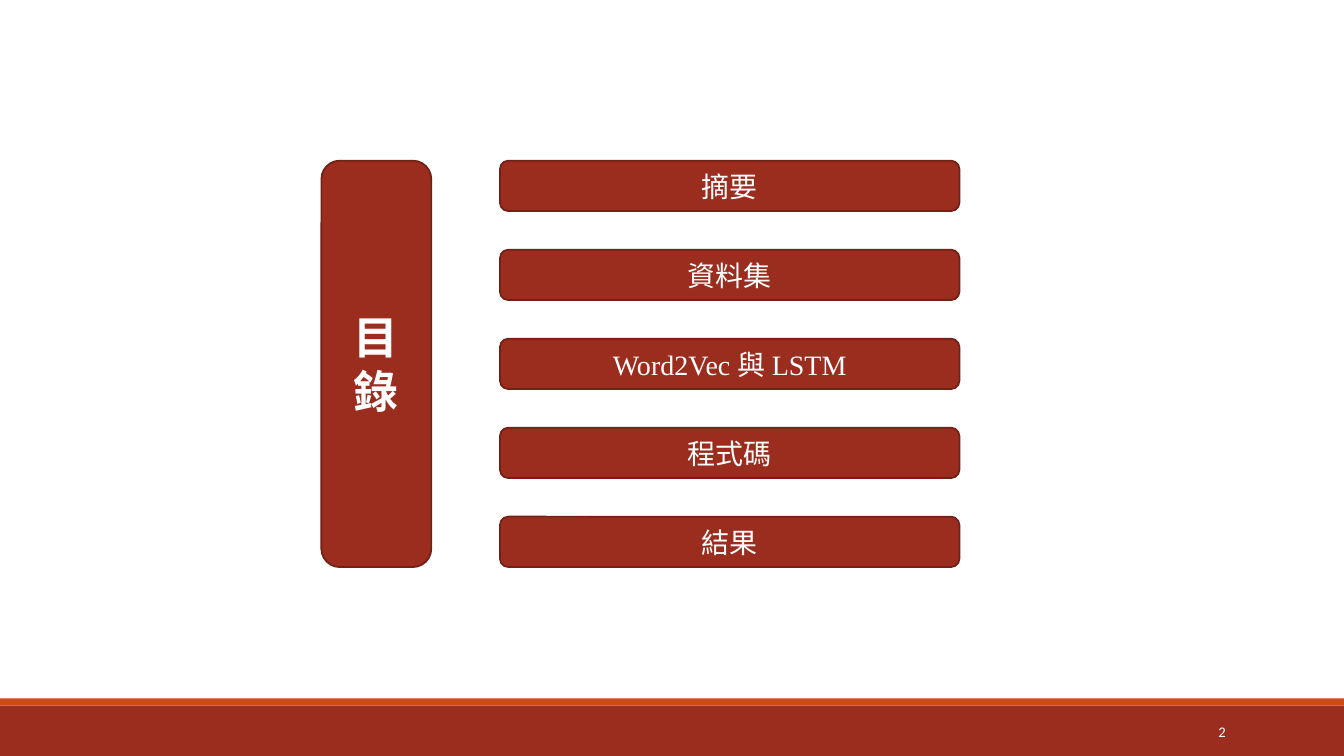
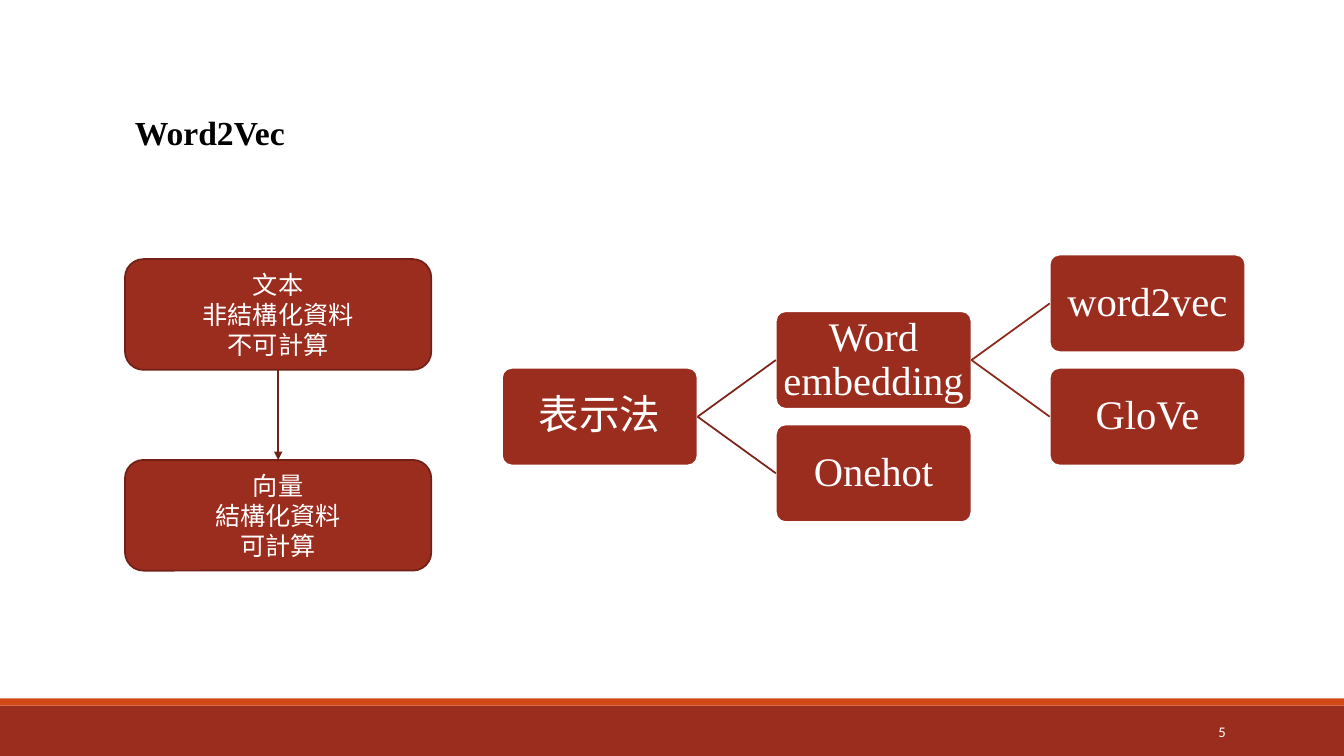
import dataclasses

import lxml.etree
import pptx
import pptx.dml.color
import pptx.enum.shapes
import pptx.enum.text
import pptx.oxml.ns
import pptx.util

Cm = pptx.util.Cm
Pt = pptx.util.Pt
Shape = pptx.enum.shapes.MSO_SHAPE
Align = pptx.enum.text.PP_ALIGN
Anchor = pptx.enum.text.MSO_ANCHOR


@dataclasses.dataclass(frozen=True)
class Theme:
    """Colours, fonts, type sizes and line width of the deck."""
    red: str = "9B2D1F"
    edge: str = "732117"
    orange: str = "D34817"
    white: str = "FFFFFF"
    black: str = "000000"
    links: tuple = ("7C2419", "8D291C")
    serif: str = "Times New Roman"
    sans: str = "Calibri"
    cjk: str = "Noto Sans CJK SC"
    banner: float = 32
    node: float = 29
    title: float = 24
    item: float = 20
    step: float = 18
    number: float = 10.5
    line: float = 1.25


THEME = Theme()
WIDE, HIGH = 33.87, 19.05


def tint(code):
    """Turn a hex code into a colour."""
    return pptx.dml.color.RGBColor.from_string(code)


def write(shape, lines, size, font=THEME.serif, color=THEME.white, bold=False,
          align=Align.CENTER, anchor=Anchor.MIDDLE, inset=None, space=None):
    """Fill a shape with one paragraph for each line."""
    frame = shape.text_frame
    frame.word_wrap = True
    frame.vertical_anchor = anchor
    if inset is not None:
        frame.margin_left = frame.margin_right = Cm(inset)
        frame.margin_top = frame.margin_bottom = Cm(inset)
    for place, line in enumerate(lines):
        para = frame.add_paragraph() if place else frame.paragraphs[0]
        para.alignment = align
        if space:
            para.line_spacing = space
        run = para.add_run()
        run.text = line
        run.font.size = Pt(size)
        run.font.bold = bold
        run.font.name = font
        run.font.color.rgb = tint(color)
        east = lxml.etree.SubElement(run.font._element, pptx.oxml.ns.qn("a:ea"))
        east.set("typeface", THEME.cjk)


def panel(slide, box, kind=Shape.ROUNDED_RECTANGLE, fill=THEME.red, edge=THEME.edge):
    """Add a flat filled shape, outlined if an edge colour is given."""
    shape = slide.shapes.add_shape(kind, *map(Cm, box))
    shape.shadow.inherit = False
    shape.fill.solid()
    shape.fill.fore_color.rgb = tint(fill)
    if edge:
        shape.line.color.rgb = tint(edge)
        shape.line.width = Pt(THEME.line)
    else:
        shape.line.fill.background()
    return shape


def label(slide, box, text, size, **style):
    """Add a text box with one line."""
    write(slide.shapes.add_textbox(*map(Cm, box)), [text], size, **style)


def link(slide, first, out, last, into, color, arrow=False):
    """Join two shapes at the given sites with a straight line."""
    line = slide.shapes.add_connector(
        pptx.enum.shapes.MSO_CONNECTOR.STRAIGHT, 0, 0, 0, 0)
    line.begin_connect(first, out)
    line.end_connect(last, into)
    line.line.color.rgb = tint(color)
    line.line.width = Pt(THEME.line)
    props = line._element.spPr
    if arrow:
        stroke = props.find(pptx.oxml.ns.qn("a:ln"))
        lxml.etree.SubElement(stroke, pptx.oxml.ns.qn("a:tailEnd")).set("type", "triangle")
    lxml.etree.SubElement(props, pptx.oxml.ns.qn("a:effectLst"))


def base(deck, number):
    """Add a blank slide with the footer bands and its number."""
    slide = deck.slides.add_slide(deck.slide_layouts[6])
    band, strip = 1.27, 0.18
    top = HIGH - band
    panel(slide, (0, top, WIDE, band), Shape.RECTANGLE, edge=None)
    panel(slide, (0, top - strip, WIDE, strip), Shape.RECTANGLE, THEME.orange, None)
    label(slide, (27.51, top + 0.15, 3.63, 1.02), number, THEME.number,
          font=THEME.sans, align=Align.RIGHT)
    return slide


def agenda(slide, box, head, items):
    """Place a tall banner beside evenly spaced items."""
    left, top, width, height = box
    bar, gap, row = 2.77, 1.73, 1.27
    write(panel(slide, (left, top, bar, height)), head, THEME.banner, bold=True)
    pitch = (height - row) / (len(items) - 1)
    start = left + bar + gap
    for place, item in enumerate(items):
        spot = (start, top + place * pitch, left + width - start, row)
        write(panel(slide, spot), [item], THEME.item)


def flow(slide, box, steps):
    """Stack steps over the height of the box, joined by arrows."""
    left, top, width, height = box
    tall = 2.79
    pitch = (height - tall) / (len(steps) - 1)
    prior = None
    for place, lines in enumerate(steps):
        shape = panel(slide, (left, top + place * pitch, width, tall))
        write(shape, lines, THEME.step, font=THEME.cjk)
        if prior is not None:
            link(slide, prior, 2, shape, 0, THEME.edge, arrow=True)
        prior = shape


def tree(slide, box, root, depth=0):
    """Draw a node in its box and its two branches to the right."""
    left, top, width, height = box
    text, kids = root
    shape = panel(slide, box, edge=THEME.white)
    shape.adjustments[0] = 0.1
    write(shape, [text], THEME.node, inset=0.05, space=0.9)
    step, rise = width * 1.4, height * 0.58
    for side, kid in zip((-1, 1), kids):
        spot = (left + step, top + side * rise, width, height)
        child = tree(slide, spot, kid, depth + 1)
        link(slide, shape, 3, child, 1, THEME.links[depth])
    return shape


def main():
    """Build and save the deck."""
    deck = pptx.Presentation()
    deck.slide_width, deck.slide_height = Cm(WIDE), Cm(HIGH)

    slide = base(deck, "2")
    agenda(slide, (8.1, 4.05, 16.08, 10.24), ["目", "錄"],
           ["摘要", "資料集", "Word2Vec 與 LSTM", "程式碼", "結果"])

    slide = base(deck, "5")
    label(slide, (3.15, 2.69, 25.65, 1.27), "Word2Vec", THEME.title,
          color=THEME.black, bold=True, align=Align.JUSTIFY, anchor=Anchor.TOP)
    flow(slide, (3.15, 6.53, 7.72, 7.85),
         [["文本", "非結構化資料", "不可計算"], ["向量", "結構化資料", "可計算"]])
    tree(slide, (12.65, 9.27, 4.93, 2.46),
         ("表示法", [("Word embedding", [("word2vec", []), ("GloVe", [])]),
                  ("Onehot", [])]))
    deck.save("out.pptx")


if __name__ == "__main__":
    main()
